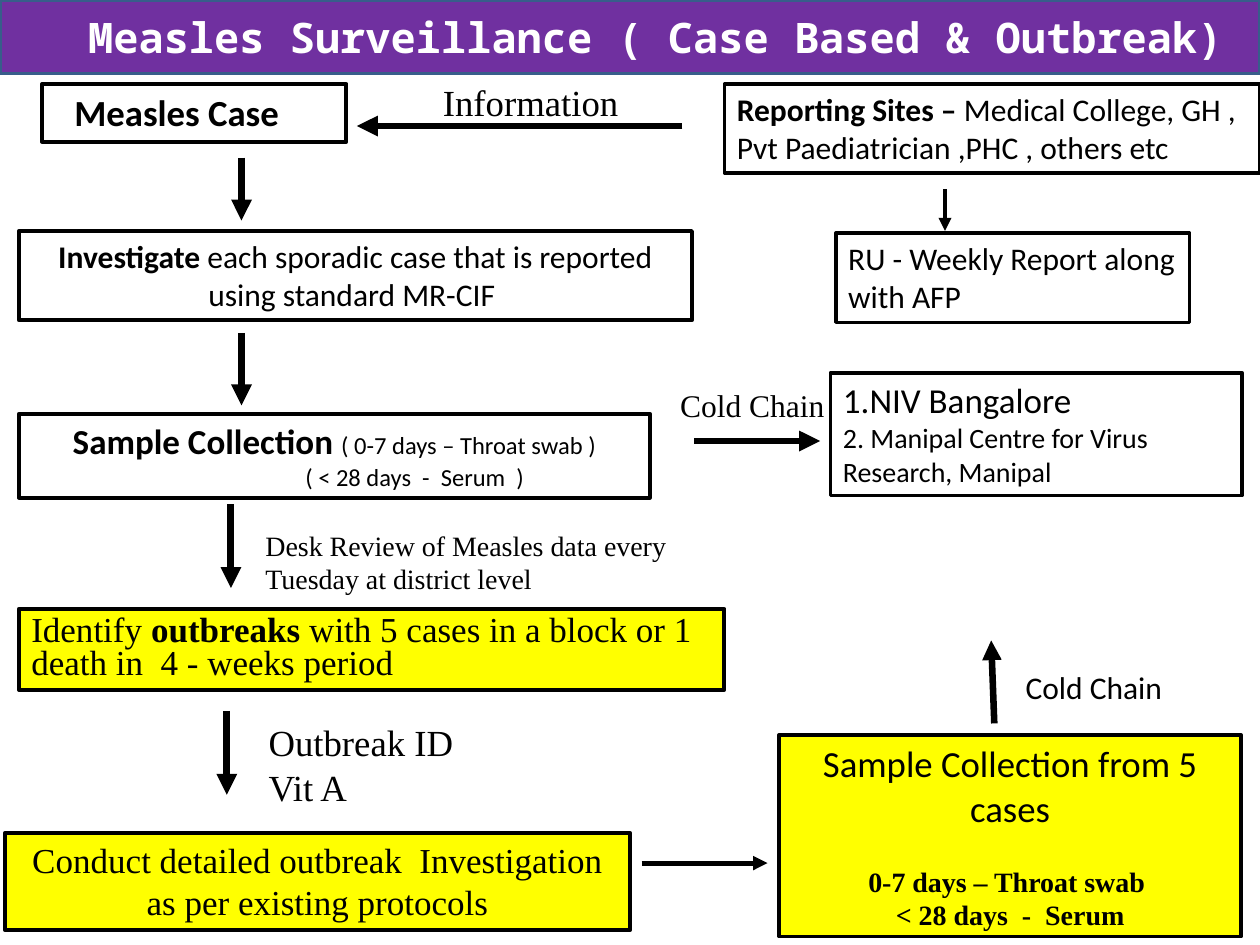
from dataclasses import dataclass
from typing import Any

from lxml.etree import SubElement
from pptx import Presentation
from pptx.dml.color import RGBColor
from pptx.enum.shapes import MSO_CONNECTOR, MSO_SHAPE
from pptx.enum.text import MSO_ANCHOR, MSO_AUTO_SIZE, PP_ALIGN
from pptx.oxml.ns import qn
from pptx.util import Emu, Inches, Pt

# The slide is a grid of 120 columns by 90 rows of square cells
COLS, ROWS = 120, 90
CELL = Inches(10) / COLS


@dataclass(frozen=True)
class Theme:
    black: str = "000000"
    white: str = "FFFFFF"
    yellow: str = "FFFF00"
    purple: str = "7030A0"
    navy: str = "385D8A"
    sans: str = "Calibri"
    serif: str = "Times New Roman"
    mono: str = "Noto Sans Mono"
    title: int = 24
    big: int = 21
    head: int = 20
    body: int = 18
    note: int = 16
    small: int = 14


T = Theme()


@dataclass
class Run:
    text: str
    size: int = T.body
    bold: bool = False
    font: str = T.sans
    color: str = T.black


@dataclass
class Para:
    runs: list[Run]
    center: bool = False
    indent: float = 0  # columns
    before: int = 0  # points
    lead: float = 1.0


@dataclass
class Box:
    left: float
    top: float
    width: float
    height: float
    paras: list[Para]
    fill: str | None = T.white  # None makes a plain label
    edge: float = 2.25
    ink: str = T.black
    mid: bool = False
    wrap: bool = True


@dataclass
class Arrow:
    start: tuple[float, float]
    end: tuple[float, float]
    weight: float = 4


def grid(cells: float) -> Emu:
    return Emu(round(cells * CELL))


def apply(target: Any, values: dict[str, Any]) -> None:
    for name, value in values.items():
        setattr(target, name, value)


def write(frame: Any, box: Box) -> None:
    apply(frame, {
        "word_wrap": box.wrap,
        "auto_size": MSO_AUTO_SIZE.NONE if box.mid else MSO_AUTO_SIZE.SHAPE_TO_FIT_TEXT,
        "vertical_anchor": MSO_ANCHOR.MIDDLE if box.mid else MSO_ANCHOR.TOP,
    })
    for i, item in enumerate(box.paras):
        para = frame.add_paragraph() if i else frame.paragraphs[0]
        apply(para, {
            "alignment": PP_ALIGN.CENTER if item.center else PP_ALIGN.LEFT,
            "space_before": Pt(item.before),
            "line_spacing": item.lead,
        })
        if item.indent:
            para._p.get_or_add_pPr().set("marL", str(grid(item.indent)))
        for part in item.runs:
            run = para.add_run()
            run.text = part.text
            apply(run.font, {"size": Pt(part.size), "bold": part.bold, "name": part.font})
            run.font.color.rgb = RGBColor.from_string(part.color)


def draw_box(shapes: Any, box: Box) -> None:
    place = [grid(n) for n in (box.left, box.top, box.width, box.height)]
    if box.fill is None:
        shape = shapes.add_textbox(*place)
    else:
        shape = shapes.add_shape(MSO_SHAPE.RECTANGLE, *place)
        shape.shadow.inherit = False
        shape.fill.solid()
        shape.fill.fore_color.rgb = RGBColor.from_string(box.fill)
        shape.line.width = Pt(box.edge)
        shape.line.color.rgb = RGBColor.from_string(box.ink)
    write(shape.text_frame, box)


def draw_arrow(shapes: Any, arrow: Arrow) -> None:
    ends = [grid(n) for n in (*arrow.start, *arrow.end)]
    link = shapes.add_connector(MSO_CONNECTOR.STRAIGHT, *ends)
    link.line.width = Pt(arrow.weight)
    link.line.color.rgb = RGBColor.from_string(T.black)
    SubElement(link.line._get_or_add_ln(), qn("a:tailEnd"), type="triangle")
    SubElement(link._element.spPr, qn("a:effectLst"))


BOXES = [
    # Title bar
    Box(0, 0, COLS, 7, [Para([Run("Measles Surveillance ( Case Based & Outbreak)",
        T.title, True, T.mono, T.white)], True, indent=4.8)],
        T.purple, 2, T.navy, mid=True),
    # Case steps, left side
    Box(4, 8, 29, 5.5, [Para([Run("Measles Case", T.big, True)], indent=1.9)]),
    Box(1.8, 22, 64.1, 8.5, [Para([Run("Investigate", bold=True),
        Run(" each sporadic case that is reported using standard MR-CIF ")], True)]),
    Box(1.8, 39.4, 60.1, 8, [
        Para([Run("Sample Collection ", T.head, True),
              Run("( 0-7 days – Throat swab )", T.small)], True),
        Para([Run("( < 28 days  -  Serum  )", T.small)], True, indent=15.3)]),
    # Outbreak steps
    Box(1.8, 58, 67.2, 7.7, [Para([
        Run("Identify ", T.head, font=T.serif),
        Run("outbreaks", T.head, True, T.serif),
        Run(" with 5 cases in a block or 1 death in  4 - weeks period",
            T.head, font=T.serif)], lead=0.8)], T.yellow),
    Box(0.5, 79.3, 59.5, 9.3, [Para([
        Run("Conduct detailed outbreak  Investigation as per existing protocols",
            T.head, font=T.serif)], True)], T.yellow),
    Box(74.2, 70, 44, 19.2, [
        Para([Run("Sample Collection from 5 cases", T.big)], True),
        Para([Run("0-7 days – Throat swab ", T.note, True, T.serif)], True, before=20),
        Para([Run("< 28 days  -  Serum", T.note, True, T.serif)], True)], T.yellow),
    # Reporting and laboratories, right side
    Box(69, 8, 51, 8.5, [Para([Run("Reporting Sites – ", bold=True),
        Run("Medical College, GH , Pvt Paediatrician ,PHC , others etc")])], edge=2),
    Box(79.6, 22.2, 33.7, 8.5, [Para([Run("RU - Weekly Report along with AFP")])], edge=2),
    Box(79.1, 35.5, 39.2, 11.7, [
        Para([Run("1.NIV Bangalore", T.head)]),
        Para([Run("2. Manipal Centre for Virus Research, Manipal", T.note)])], edge=2),
    # Labels beside the arrows
    Box(41, 7, 21, 5.5, [Para([Run("Information", T.big, font=T.serif)])], None),
    Box(24.1, 49.7, 43, 7.3, [Para([
        Run("Desk Review of Measles data every Tuesday at district level",
            T.note, font=T.serif)])], None),
    Box(24.4, 68, 23, 9.7, [Para([Run("Outbreak ID Vit A", T.big, font=T.serif)])], None),
    Box(63.6, 36.2, 19, 4.9, [Para([Run("Cold Chain", font=T.serif)])], None),
    Box(96.5, 63, 15.4, 4.8, [Para([Run("Cold Chain")])], None, wrap=False),
]

ARROWS = [
    Arrow((65, 12), (34, 12)),
    Arrow((23, 15), (23, 21)),
    Arrow((23, 31.7), (23, 38.6)),
    Arrow((22, 48), (22, 56)),
    Arrow((21.6, 67.7), (21.6, 75.7)),
    Arrow((61.1, 82.2), (73.1, 82.2), 2.75),
    Arrow((94.7, 68.9), (94.4, 61), 3.75),
    Arrow((66.1, 42), (78.1, 42)),
    Arrow((90, 18), (90, 22), 2.5),
]


def main() -> None:
    deck = Presentation()
    apply(deck, {"slide_width": grid(COLS), "slide_height": grid(ROWS)})
    shapes = deck.slides.add_slide(deck.slide_layouts[6]).shapes
    for box in BOXES:
        draw_box(shapes, box)
    for arrow in ARROWS:
        draw_arrow(shapes, arrow)
    deck.save("out.pptx")


if __name__ == "__main__":
    main()
